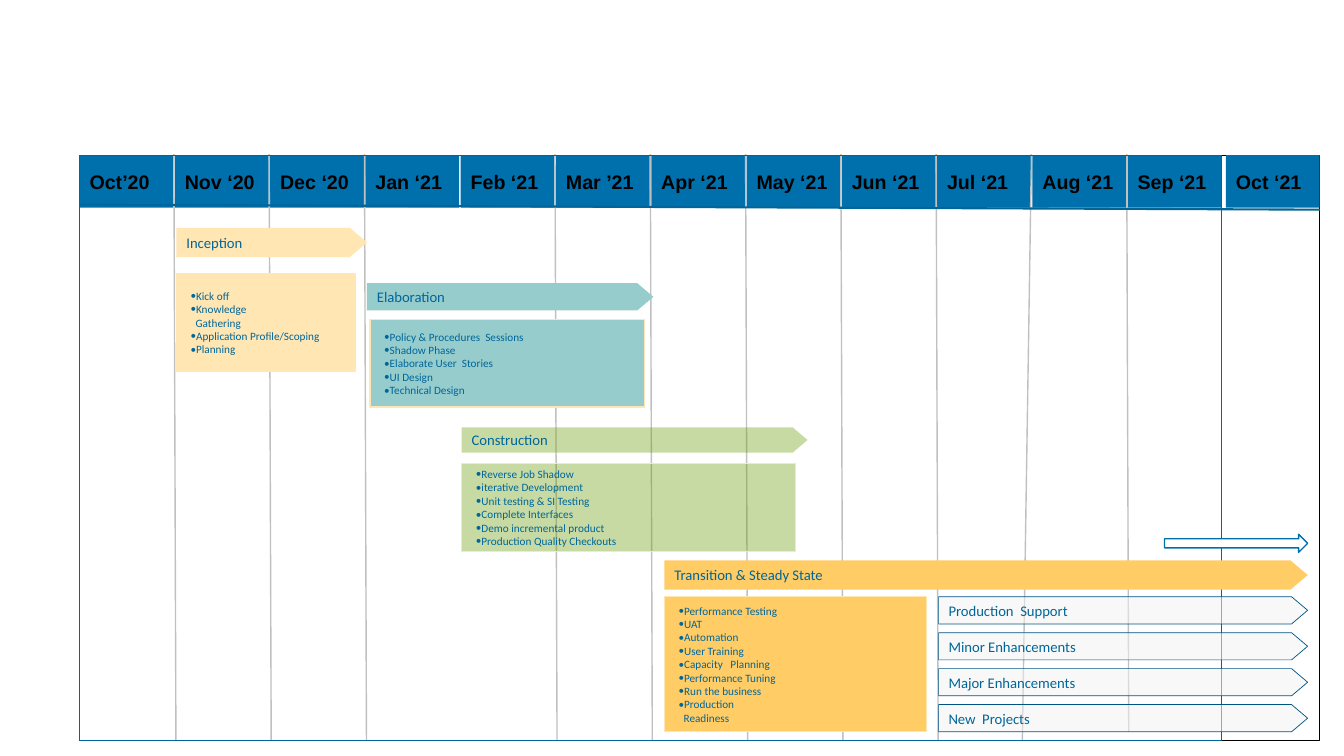
import lxml.etree
import pptx
import pptx.dml.color
import pptx.enum.shapes
import pptx.enum.text
import pptx.oxml.ns
import pptx.util

Inches = pptx.util.Inches
RGBColor = pptx.dml.color.RGBColor
SHAPES = pptx.enum.shapes.MSO_SHAPE

BLACK = RGBColor(0x00, 0x00, 0x00)
WHITE = RGBColor(0xFF, 0xFF, 0xFF)
BLUE = RGBColor(0x00, 0x70, 0xAD)
TEXT_BLUE = RGBColor(0x00, 0x66, 0x99)
OUTLINE_BLUE = RGBColor(0x00, 0x54, 0x82)
GRID_GREY = RGBColor(0xC0, 0xC0, 0xC0)
CREAM = RGBColor(0xFF, 0xE6, 0xB3)
TEAL = RGBColor(0x97, 0xCC, 0xCD)
GREEN = RGBColor(0x66, 0x99, 0x00)
AMBER = RGBColor(0xFF, 0xCC, 0x66)
PALE_GREY = RGBColor(0xF2, 0xF2, 0xF2)

MONTHS = ["Oct’20", "Nov ‘20", "Dec ‘20", "Jan ‘21", "Feb ‘21", "Mar ’21", "Apr ‘21",
          "May ‘21", "Jun ‘21", "Jul ‘21", "Aug ‘21", "Sep ‘21"]
DIVIDED_MONTHS = [1, 2, 3, 5, 6, 7, 8, 9, 10, 11]
USUAL_DIVIDER_END = (0.02, 0)
DIVIDER_ENDS = {10: (-0.09, 0), 11: (0.02, -0.09)}
MONTH_STEP = 0.945
MONTH_WIDTH = 0.93
HEADER_HEIGHT = 0.52
CONTINUATION = "\t"

PHASES = [
    ("Inception", CREAM, 100, (1.75, 2.26, 1.89, 0.29), (1.75, 2.72, 1.77, 0.96),
     ["Kick off", "Knowledge", "\tGathering", "Application Profile/Scoping", "Planning"]),
    ("Elaboration", TEAL, 100, (3.64, 2.81, 2.84, 0.27), (3.67, 3.17, 2.72, 0.87),
     ["Policy & Procedures  Sessions", "Shadow Phase", "Elaborate User  Stories",
      "UI Design", "Technical Design"]),
    ("Construction", GREEN, 36, (4.58, 4.24, 3.43, 0.25), (4.58, 4.6, 3.31, 0.87),
     ["Reverse Job Shadow", "iterative Development", "Unit testing & SI Testing",
      "Complete Interfaces", "Demo incremental product", "Production Quality Checkouts"]),
    ("Transition & Steady State", AMBER, 100, (6.59, 5.56, 6.38, 0.29), (6.59, 5.92, 2.6, 1.34),
     ["Performance Testing", "UAT", "Automation", "User Training", "Capacity   Planning",
      "Performance Tuning", "Run the business", "Production", "\tReadiness"]),
]
SERVICES = ["Production  Support", "Minor Enhancements", "Major Enhancements", "New  Projects"]


def add_box(slide, kind, box, fill=None, opacity=100, line=None, line_width=1):
    """Add a preset shape with its fill, opacity and outline."""
    shape = slide.shapes.add_shape(kind, *map(Inches, box))
    shape.shadow.inherit = False
    if fill is None:
        shape.fill.background()
    else:
        shape.fill.solid()
        shape.fill.fore_color.rgb = fill
    if opacity < 100:
        color = shape.fill._xPr.find(".//" + pptx.oxml.ns.qn("a:srgbClr"))
        alpha = lxml.etree.SubElement(color, pptx.oxml.ns.qn("a:alpha"))
        alpha.set("val", str(opacity * 1000))
    if line is None:
        shape.line.fill.background()
    else:
        shape.line.color.rgb = line
        shape.line.width = pptx.util.Pt(line_width)
    return shape


def add_line(slide, start, end, color, width):
    """Add a straight line between two points."""
    connector = slide.shapes.add_connector(
        pptx.enum.shapes.MSO_CONNECTOR.STRAIGHT, *map(Inches, start + end))
    connector.line.color.rgb = color
    connector.line.width = pptx.util.Pt(width)
    lxml.etree.SubElement(connector._element.spPr, pptx.oxml.ns.qn("a:effectLst"))


def write_text(shape, lines, size=10.5, font="Calibri", color=TEXT_BLUE, bold=False,
               bulleted=False, margins=(0.1, 0.05, 0, 0.05)):
    """Write left-aligned paragraphs, vertically centred in the shape."""
    frame = shape.text_frame
    frame.word_wrap = True
    frame.vertical_anchor = pptx.enum.text.MSO_ANCHOR.MIDDLE
    (frame.margin_left, frame.margin_top,
     frame.margin_right, frame.margin_bottom) = map(Inches, margins)
    for index, line in enumerate(lines):
        paragraph = frame.add_paragraph() if index else frame.paragraphs[0]
        paragraph.alignment = pptx.enum.text.PP_ALIGN.LEFT
        if bulleted:
            properties = paragraph._p.get_or_add_pPr()
            properties.set("marL", str(Inches(0.05)))
            continued = line.startswith(CONTINUATION)
            properties.set("indent", str(0 if continued else Inches(-0.05)))
            if not continued:
                bullet_font = lxml.etree.SubElement(properties, pptx.oxml.ns.qn("a:buFont"))
                bullet_font.set("typeface", font)
                bullet = lxml.etree.SubElement(properties, pptx.oxml.ns.qn("a:buChar"))
                bullet.set("char", "•")
        run = paragraph.add_run()
        run.text = line.strip(CONTINUATION)
        run.font.size = pptx.util.Pt(size)
        run.font.name = font
        run.font.bold = bold
        run.font.color.rgb = color


def add_month(slide, box, name):
    """Add one month heading."""
    shape = add_box(slide, SHAPES.RECTANGLE, box, BLUE)
    write_text(shape, [name], size=14, font="Arial", color=BLACK, bold=True)


def add_calendar(slide, box):
    """Add the month headings, the month dividers and the frames."""
    left, top, width, height = box
    bottom = top + height
    add_box(slide, SHAPES.RECTANGLE, box, WHITE, line=BLACK, line_width=0.5)
    for index, name in enumerate(MONTHS):
        add_month(slide, (left + index * MONTH_STEP, top, MONTH_WIDTH, HEADER_HEIGHT), name)
    for index in DIVIDED_MONTHS:
        x = left + index * MONTH_STEP - 0.01
        drift, rise = DIVIDER_ENDS.get(index, USUAL_DIVIDER_END)
        add_line(slide, (x, top - 0.01), (x + drift, bottom + rise), GRID_GREY, 1)
    add_line(slide, (left + 0.01, top + 0.49), (left + width, top + 0.54), TEXT_BLUE, 1.5)
    add_box(slide, SHAPES.RECTANGLE, (left, top, width - 0.98, height),
            line=TEXT_BLUE, line_width=0.5)
    add_month(slide, (left + width - MONTH_WIDTH, top, MONTH_WIDTH, HEADER_HEIGHT), "Oct ‘21")


def add_banner(slide, box, name, fill, opacity=100, line=None):
    """Add a pointed bar with its label."""
    shape = add_box(slide, SHAPES.PENTAGON, box, fill, opacity, line, 0.5)
    shape.adjustments[0] = 0.59
    write_text(shape, [name])


def add_activities(slide, box, fill, opacity, activities):
    """Add the box that lists the activities of a phase."""
    shape = add_box(slide, SHAPES.RECTANGLE, box, fill, opacity, CREAM)
    write_text(shape, activities, size=8, bulleted=True, margins=(0.14, 0.07, 0.14, 0.07))


def add_services(slide, box):
    """Add the evenly spaced steady-state services."""
    left, top, width, height = box
    bar_height = 0.27
    step = (height - bar_height) / (len(SERVICES) - 1)
    for index, name in enumerate(SERVICES):
        add_banner(slide, (left, top + index * step, width, bar_height), name,
                   PALE_GREY, 53, OUTLINE_BLUE)


def main():
    """Build and save the project timeline."""
    presentation = pptx.Presentation()
    presentation.slide_width = Inches(13.33)
    presentation.slide_height = Inches(7.5)
    slide = presentation.slides.add_slide(presentation.slide_layouts[6])
    add_calendar(slide, (0.79, 1.54, 12.3, 5.81))
    for name, fill, opacity, banner_box, activity_box, activities in PHASES:
        add_activities(slide, activity_box, fill, opacity, activities)
        add_banner(slide, banner_box, name, fill, opacity)
    add_services(slide, (9.31, 5.92, 3.66, 1.34))
    add_box(slide, SHAPES.RIGHT_ARROW, (11.55, 5.3, 1.42, 0.18), WHITE, line=BLUE)
    presentation.save("out.pptx")


if __name__ == "__main__":
    main()
